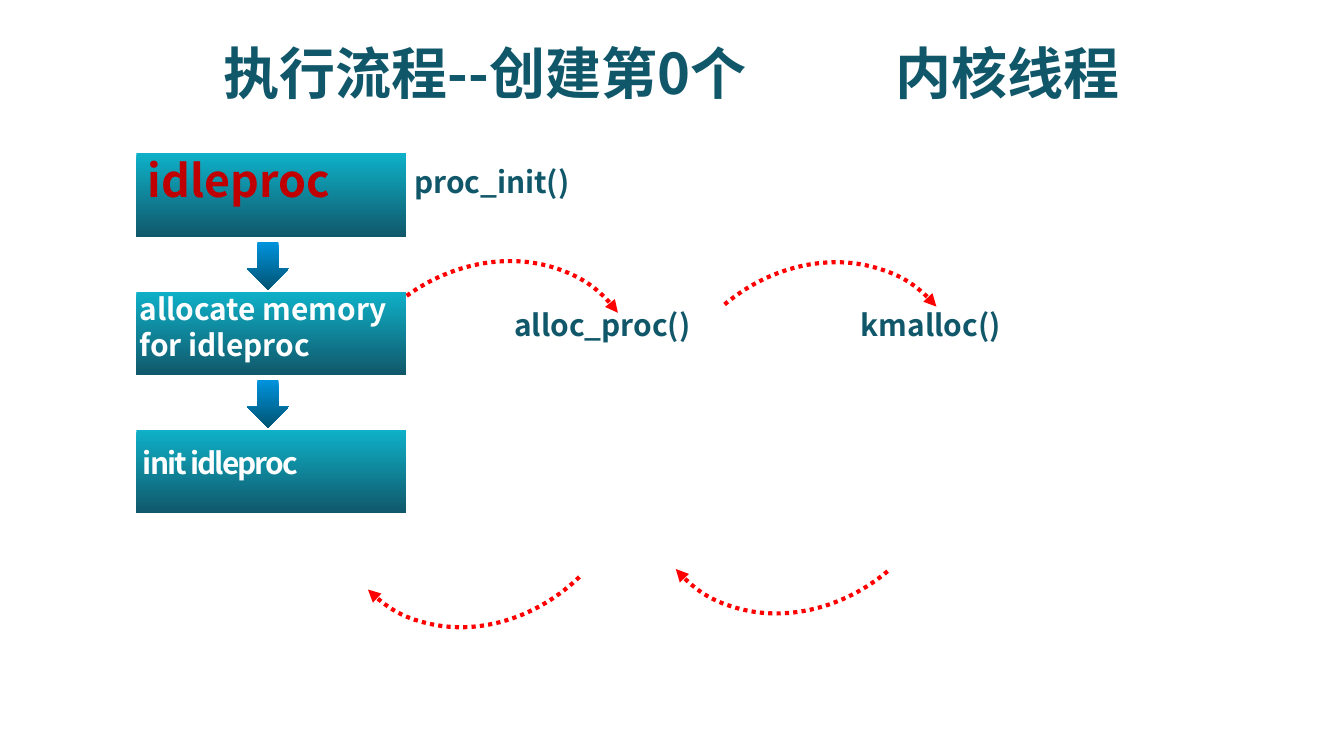
from dataclasses import dataclass

from lxml import etree
from pptx import Presentation
from pptx.dml.color import RGBColor
from pptx.enum.dml import MSO_LINE
from pptx.enum.shapes import MSO_SHAPE
from pptx.enum.text import MSO_AUTO_SIZE, PP_ALIGN
from pptx.oxml.ns import qn
from pptx.util import Cm, Pt

RECTANGLE, DOWN_ARROW, ARC = MSO_SHAPE.RECTANGLE, MSO_SHAPE.DOWN_ARROW, MSO_SHAPE.ARC
DOTTED = MSO_LINE.ROUND_DOT
FIT_TEXT = MSO_AUTO_SIZE.SHAPE_TO_FIT_TEXT
LEFT, CENTER = PP_ALIGN.LEFT, PP_ALIGN.CENTER


@dataclass(frozen=True)
class Theme:
    font: str = "Noto Sans CJK SC"
    dark: str = "11576A"
    white: str = "FFFFFF"
    accent: str = "C00000"
    call: str = "FF0000"
    box_gradient: tuple = ("0EB1C8", "11576A")
    arrow_gradient: tuple = ("0093DD", "005472")
    title_size: int = 30
    heading_size: int = 24
    body_size: int = 16
    call_width: float = 2.25


THEME = Theme()


def write_text(paragraph, text, *, size, color, align=LEFT, spacing=0, tab=None):
    """Write one bold run; spacing is in points, tab is a stop in centimetres."""
    paragraph.alignment = align
    if tab:
        tab_list = etree.SubElement(paragraph._p.get_or_add_pPr(), qn("a:tabLst"))
        etree.SubElement(tab_list, qn("a:tab"), pos=str(Cm(tab)), algn="l")
    run = paragraph.add_run()
    run.text = text
    font = run.font
    font.size, font.bold, font.name = Pt(size), True, THEME.font
    font.color.rgb = RGBColor.from_string(color)
    properties = run._r.get_or_add_rPr()
    etree.SubElement(properties, qn("a:ea"), typeface=THEME.font)
    if spacing:
        properties.set("spc", str(spacing * 100))


class SlideBuilder:
    def __init__(self, slide, theme):
        self.slide = slide
        self.theme = theme

    def shape(self, kind, left, top, width, height):
        shape = self.slide.shapes.add_shape(
            kind, Cm(left), Cm(top), Cm(width), Cm(height))
        shape.shadow.inherit = False
        return shape

    def gradient_shape(self, kind, left, top, width, height, colors):
        shape = self.shape(kind, left, top, width, height)
        shape.line.fill.background()
        shape.fill.gradient()
        shape.fill.gradient_angle = 270
        for stop, color in zip(shape.fill.gradient_stops, colors):
            stop.color.rgb = RGBColor.from_string(color)

    def text(self, lines, left, top, width, height, *, wrap=False, **style):
        box = self.slide.shapes.add_textbox(
            Cm(left), Cm(top), Cm(width), Cm(height))
        frame = box.text_frame
        frame.word_wrap = wrap
        frame.auto_size = FIT_TEXT
        for index, line in enumerate(lines):
            paragraph = frame.add_paragraph() if index else frame.paragraphs[0]
            write_text(paragraph, line, **style)

    def call_arc(self, left, top, width, height, rotation):
        arc = self.shape(ARC, left, top, width, height)
        arc.rotation = rotation
        arc.fill.background()
        arc.line.color.rgb = RGBColor.from_string(self.theme.call)
        arc.line.width = Pt(self.theme.call_width)
        arc.line.dash_style = DOTTED
        outline = arc._element.spPr.find(qn("a:ln"))
        etree.SubElement(outline, qn("a:tailEnd"), type="triangle")


def main():
    presentation = Presentation()
    presentation.slide_width, presentation.slide_height = Cm(25.4), Cm(14.28)
    slide = presentation.slides.add_slide(presentation.slide_layouts[6])
    builder = SlideBuilder(slide, THEME)

    # Title
    builder.text(["执行流程--创建第0个\t内核线程"], 0, 0.6, 25.4, 1.55, wrap=True,
                 size=THEME.title_size, color=THEME.dark, align=CENTER, tab=12.7)

    # Step boxes with an arrow between neighbours
    step_count, step_pitch = 3, 2.61
    for step in range(step_count):
        builder.gradient_shape(RECTANGLE, 2.58, 2.9 + step * step_pitch,
                               5.1, 1.58, THEME.box_gradient)
    for step in range(step_count - 1):
        builder.gradient_shape(DOWN_ARROW, 4.67, 4.57 + step * step_pitch,
                               0.79, 0.9, THEME.arrow_gradient)

    # Step labels
    builder.text(["idleproc"], 2.54, 2.76, 4.39, 1.27,
                 size=THEME.heading_size, color=THEME.accent)
    builder.text(["allocate memory", "for idleproc"], 2.39, 5.36, 5.26, 1.65,
                 size=THEME.body_size, color=THEME.white)
    builder.text(["init idleproc"], 2.45, 8.28, 3.84, 0.97,
                 size=THEME.body_size, color=THEME.white, spacing=-1)

    # Function names
    for name, left, top, width in (("proc_init()", 7.58, 2.97, 3.76),
                                   ("alloc_proc()", 9.47, 5.66, 4.19),
                                   ("kmalloc()", 16.02, 5.66, 3.48)):
        builder.text([name], left, top, width, 0.94,
                     size=THEME.body_size, color=THEME.dark)

    # Calls above, returns below
    for left, top, rotation in ((6.18, 5.09, 324), (12.33, 5.14, 320),
                                (6.1, 6.42, 136), (12.06, 6.19, 140)):
        builder.call_arc(left, top, 6.08, 5.21, rotation)

    presentation.save("out.pptx")


if __name__ == "__main__":
    main()
